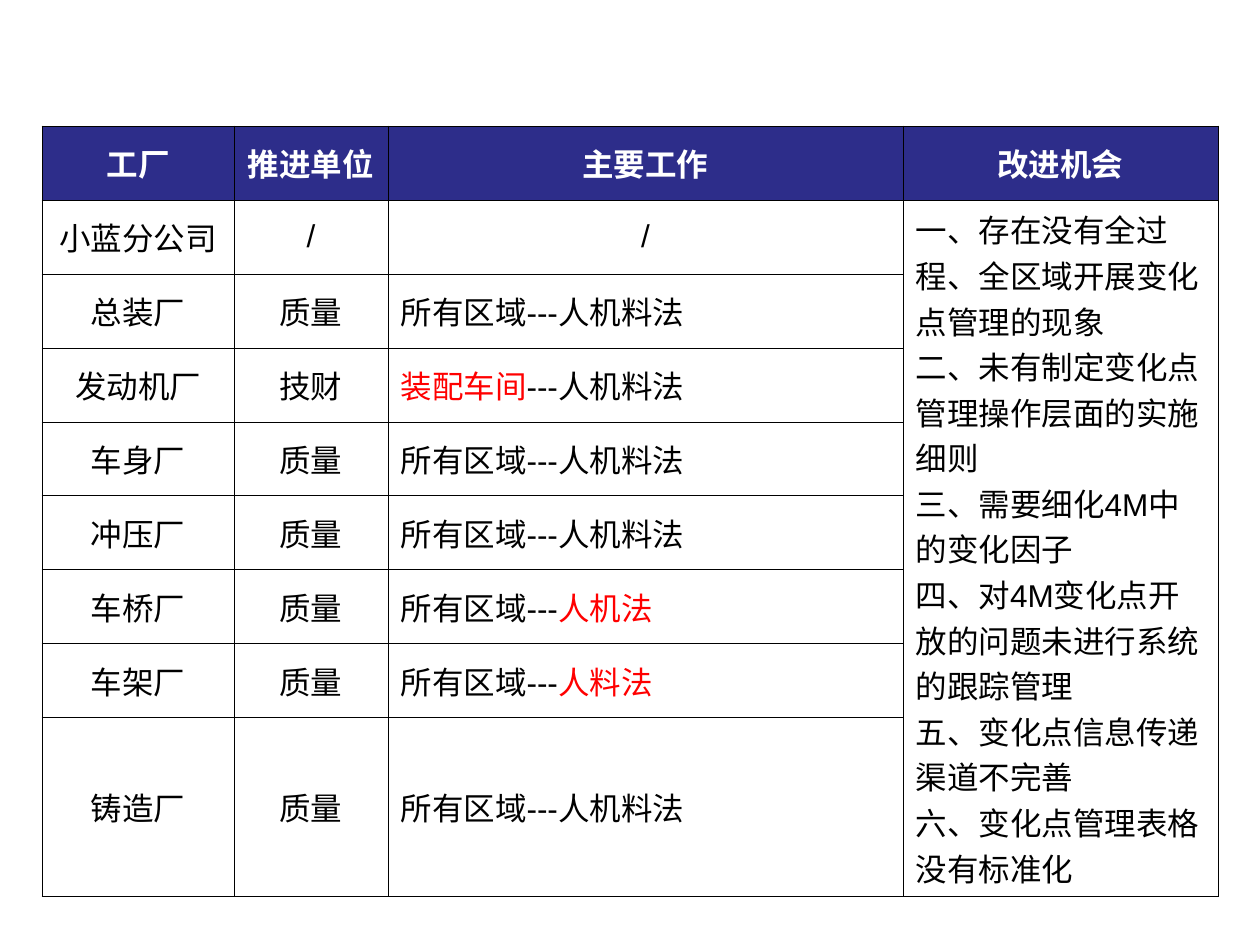
from dataclasses import dataclass

from lxml.etree import SubElement
from pptx import Presentation
from pptx.dml.color import RGBColor
from pptx.enum.text import MSO_ANCHOR, PP_ALIGN
from pptx.oxml.ns import qn
from pptx.table import _Cell
from pptx.util import Emu, Pt

NAVY, WHITE, BLACK, RED = "2D2D8A", "FFFFFF", "000000", "FF0000"
COLUMN_WIDTHS = [192, 154, 515, 315]
ROW_HEIGHTS = [74] * 8 + [134]
TABLE_LEFT, TABLE_TOP = 42, 126
BORDER_WIDTH = Pt(0.45)


@dataclass(frozen=True)
class Run:
    """A stretch of text in one colour."""

    text: str
    color: str = BLACK


@dataclass(frozen=True)
class Factory:
    """A factory, the unit in charge and its main work."""

    name: str
    unit: str
    work: tuple[Run, ...]
    centered: bool = False


ALL_AREAS = (Run("所有区域---人机料法"),)
HEADINGS = ["工厂", "推进单位", "主要工作", "改进机会"]
FACTORIES = [
    Factory("小蓝分公司", "/", (Run("/"),), centered=True),
    Factory("总装厂", "质量", ALL_AREAS),
    Factory("发动机厂", "技财", (Run("装配车间", RED), Run("---人机料法"))),
    Factory("车身厂", "质量", ALL_AREAS),
    Factory("冲压厂", "质量", ALL_AREAS),
    Factory("车桥厂", "质量", (Run("所有区域---"), Run("人机法", RED))),
    Factory("车架厂", "质量", (Run("所有区域---"), Run("人料法", RED))),
    Factory("铸造厂", "质量", ALL_AREAS),
]
OPPORTUNITIES = [
    "一、存在没有全过程、全区域开展变化点管理的现象",
    "二、未有制定变化点管理操作层面的实施细则",
    "三、需要细化4M中的变化因子",
    "四、对4M变化点开放的问题未进行系统的跟踪管理",
    "五、变化点信息传递渠道不完善",
    "六、变化点管理表格没有标准化",
]


def px(length: int) -> Emu:
    """Turn pixels into EMU."""
    return Emu(round(length * 914400 / 126))


def rgb(color: str) -> RGBColor:
    """Turn a hex string into a colour."""
    return RGBColor.from_string(color)


def set_borders(cell: _Cell) -> None:
    """Draw a thin black line on each side of a cell."""
    properties = cell._tc.get_or_add_tcPr()
    for index, side in enumerate(("lnL", "lnR", "lnT", "lnB")):
        line = SubElement(properties, qn(f"a:{side}"), w=str(int(BORDER_WIDTH)))
        fill = SubElement(line, qn("a:solidFill"))
        SubElement(fill, qn("a:srgbClr"), val=BLACK)
        properties.insert(index, line)


def write_cell(
    cell: _Cell,
    paragraphs: list[tuple[Run, ...]],
    alignment: PP_ALIGN = PP_ALIGN.CENTER,
    bold: bool = False,
) -> None:
    """Fill a cell with coloured runs, keeping punctuation inside its margins."""
    cell.vertical_anchor = MSO_ANCHOR.MIDDLE
    font_format = {"name": "Arial", "size": Pt(18), "bold": bold}
    frame = cell.text_frame
    for index, runs in enumerate(paragraphs):
        paragraph = frame.add_paragraph() if index else frame.paragraphs[0]
        paragraph.alignment = alignment
        paragraph._p.get_or_add_pPr().set("hangingPunct", "0")
        for part in runs:
            run = paragraph.add_run()
            run.text = part.text
            for attribute, value in font_format.items():
                setattr(run.font, attribute, value)
            run.font.color.rgb = rgb(part.color)


def main() -> None:
    """Build the slide with the factory table."""
    presentation = Presentation()
    presentation.slide_width, presentation.slide_height = px(1260), px(945)
    slide = presentation.slides.add_slide(presentation.slide_layouts[6])
    table = slide.shapes.add_table(
        len(ROW_HEIGHTS),
        len(COLUMN_WIDTHS),
        px(TABLE_LEFT),
        px(TABLE_TOP),
        px(sum(COLUMN_WIDTHS)),
        px(sum(ROW_HEIGHTS)),
    ).table
    table.horz_banding = False
    for column, width in zip(table.columns, COLUMN_WIDTHS):
        column.width = px(width)
    for row, height in zip(table.rows, ROW_HEIGHTS):
        row.height = px(height)

    for cell in table.iter_cells():
        cell.fill.background()
        set_borders(cell)

    for column, heading in enumerate(HEADINGS):
        cell = table.cell(0, column)
        cell.fill.solid()
        cell.fill.fore_color.rgb = rgb(NAVY)
        write_cell(cell, [(Run(heading, WHITE),)], bold=True)

    for row, factory in enumerate(FACTORIES, start=1):
        alignment = PP_ALIGN.CENTER if factory.centered else PP_ALIGN.LEFT
        write_cell(table.cell(row, 0), [(Run(factory.name),)])
        write_cell(table.cell(row, 1), [(Run(factory.unit),)])
        write_cell(table.cell(row, 2), [factory.work], alignment)

    opportunities = table.cell(1, 3)
    opportunities.merge(table.cell(len(FACTORIES), 3))
    write_cell(opportunities, [(Run(text),) for text in OPPORTUNITIES], PP_ALIGN.LEFT)
    presentation.save("out.pptx")


if __name__ == "__main__":
    main()
